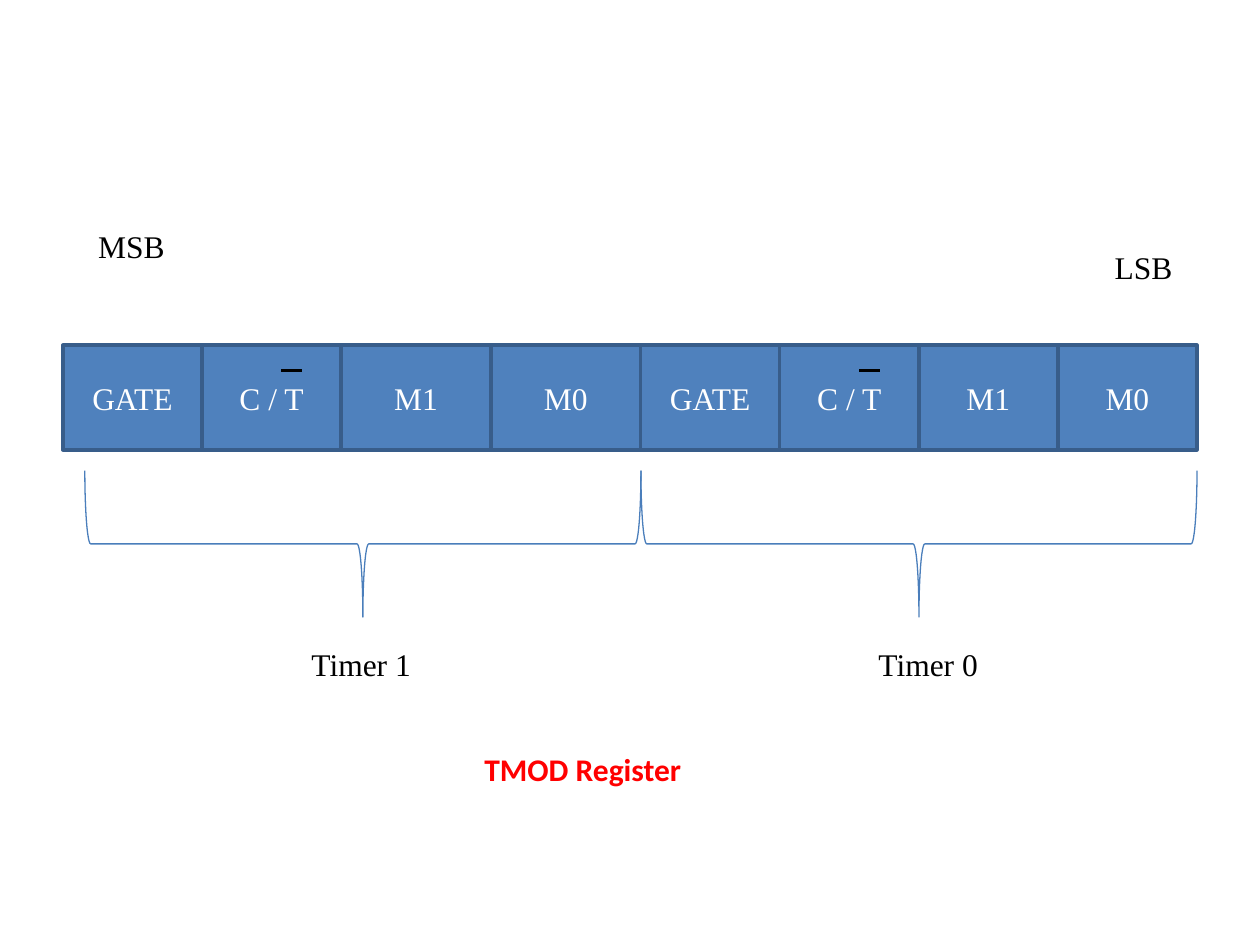
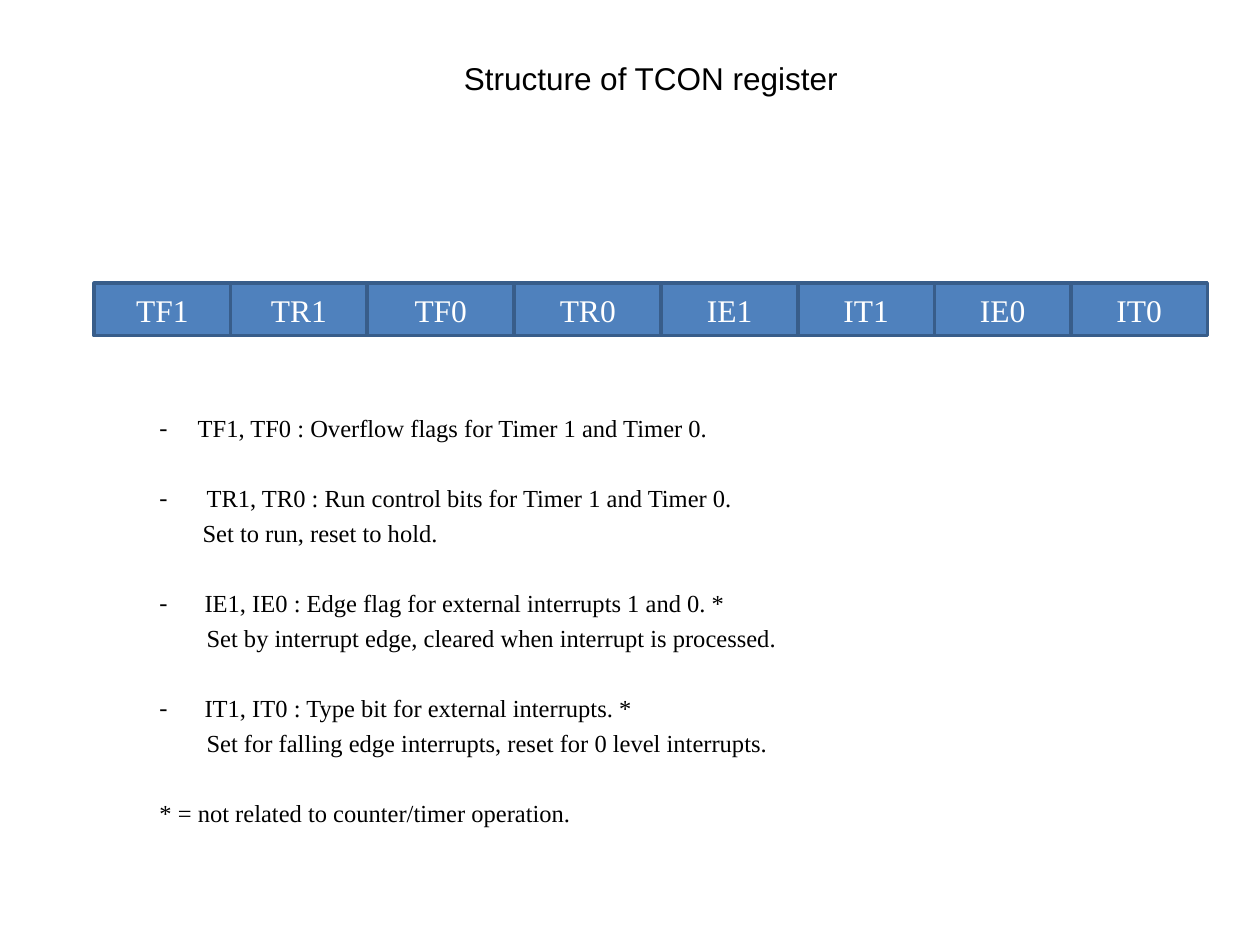
from lxml import etree
from pptx import Presentation
from pptx.dml.color import RGBColor
from pptx.enum.shapes import MSO_CONNECTOR, MSO_SHAPE
from pptx.enum.text import MSO_ANCHOR, MSO_AUTO_SIZE, PP_ALIGN
from pptx.oxml.ns import qn
from pptx.util import Cm, Pt

RECT, BRACE = MSO_SHAPE.RECTANGLE, MSO_SHAPE.RIGHT_BRACE
LINE = MSO_CONNECTOR.STRAIGHT
LEFT, CENTER = PP_ALIGN.LEFT, PP_ALIGN.CENTER
TOP, MIDDLE = MSO_ANCHOR.TOP, MSO_ANCHOR.MIDDLE
FIXED = MSO_AUTO_SIZE.NONE

COLORS = {"fill": "4F81BD", "edge": "385D8A", "brace": "4A7EBB",
          "ink": "000000", "light": "FFFFFF", "accent": "FF0000"}
SERIF = "Times New Roman"
WEIGHTS = [13, 13, 14, 14, 13, 13, 13, 13]  # relative bit widths
PITCH, GAP = 19.6, 4.6  # note line pitch and space after, in points

# Each note: text indent, text, then the indent and text of its second line
NOTES = [
    (0.77, "TF1, TF0 : Overflow flags for Timer 1 and Timer 0.", 0, ""),
    (0.95, "TR1, TR0 : Run control bits for Timer 1 and Timer 0.",
     0.87, "Set to run, reset to hold."),
    (0.91, "IE1, IE0 : Edge flag for external interrupts 1 and 0. *",
     0.95, "Set by interrupt edge, cleared when interrupt is processed."),
    (0.91, "IT1, IT0 : Type bit for external interrupts. *",
     0.95, "Set for falling edge interrupts, reset for 0 level interrupts."),
]
FOOT = "* = not related to counter/timer operation."


def rgb(name):
    return RGBColor.from_string(COLORS[name])


def place(shape, box):
    shape.left, shape.top, shape.width, shape.height = map(Cm, box)


def style(para, color="ink", size=18, face=SERIF, bold=False, align=LEFT):
    para.alignment = align
    for run in para.runs:
        font = run.font
        font.name, font.size, font.bold = face, Pt(size), bold
        font.color.rgb = rgb(color)


def write(shape, text, wrap=True, anchor=TOP, **look):
    frame = shape.text_frame
    frame.text = text
    frame.word_wrap, frame.vertical_anchor = wrap, anchor
    frame.auto_size = FIXED
    style(frame.paragraphs[0], **look)


def label(slide, text, box):
    write(slide.shapes.add_textbox(*map(Cm, box)), text, wrap=False)


def title(slide, text, box, **look):
    place(slide.shapes.title, box)
    write(slide.shapes.title, text, **look)


def register(slide, box, names):
    """Draw a row of bit cells; return the left edge of each in cm."""
    left, top, width, height = box
    unit = width / sum(WEIGHTS)
    edges = []
    for name, weight in zip(names, WEIGHTS):
        cell = slide.shapes.add_shape(
            RECT, Cm(left), Cm(top), Cm(unit * weight), Cm(height))
        cell.shadow.inherit = False
        cell.fill.solid()
        cell.fill.fore_color.rgb = rgb("fill")
        cell.line.color.rgb = rgb("edge")
        cell.line.width = Pt(2)
        write(cell, name, anchor=MIDDLE, color="light", align=CENTER)
        edges.append(left)
        left += unit * weight
    return edges


def overbar(slide, left, top):
    bar = slide.shapes.add_connector(
        LINE, Cm(left), Cm(top), Cm(left + 0.42), Cm(top))
    bar.line.color.rgb = rgb("ink")
    bar.line.width = Pt(2)
    etree.SubElement(bar._element.spPr, qn("a:effectLst"))


def brace(slide, box):
    """Fit a brace into the box with its tip pointing down."""
    left, top, width, height = box
    shift = (width - height) / 2
    mark = slide.shapes.add_shape(
        BRACE, Cm(left + shift), Cm(top - shift), Cm(height), Cm(width))
    mark.rotation = 90
    mark.adjustments[0] = 0.04
    mark.shadow.inherit = False
    mark.fill.background()
    mark.line.color.rgb = rgb("brace")
    mark.line.width = Pt(0.75)


def note(para, text, indent=0, dash=False, last=True):
    para.text = text
    props = para._p.get_or_add_pPr()
    props.set("marL", str(Cm(indent)))
    props.set("indent", str(-Cm(indent) if dash else 0))
    if dash:
        etree.SubElement(props, qn("a:buFont"), typeface=SERIF)
        etree.SubElement(props, qn("a:buChar"), char="-")
    else:
        etree.SubElement(props, qn("a:buNone"))
    para.line_spacing = 0.93
    para.space_before = Pt(0)
    para.space_after = Pt(GAP + PITCH if last else GAP)
    style(para, size=14)


def notes(slide, box):
    body = slide.placeholders[1]
    place(body, box)
    frame = body.text_frame
    frame.word_wrap, frame.vertical_anchor = True, TOP
    frame.auto_size = FIXED
    para = frame.paragraphs[0]
    for indent, text, inset, more in NOTES:
        note(para, text, indent, dash=True, last=not more)
        para = frame.add_paragraph()
        if more:
            note(para, more, inset)
            para = frame.add_paragraph()
    note(para, FOOT)


def tmod(deck):
    slide = deck.slides.add_slide(deck.slide_layouts[5])
    left, top, width, height = box = (1.27, 6.96, 22.86, 2.11)

    # Bit order
    label(slide, "MSB", (left + 0.46, 4.45, 1.85, 1.02))
    label(slide, "LSB", (22.22, 4.88, 1.68, 1.02))

    # Bits, with a bar over each T
    edges = register(slide, box, ["GATE", "C / T", "M1", "M0"] * 2)
    for edge in (edges[1], edges[5]):
        overbar(slide, edge + 1.6, top + 0.51)

    # Timer halves
    span = 11.21
    start = left + width - 2 * span
    for i, (text, x) in enumerate([("Timer 1", 6.03), ("Timer 0", 17.46)]):
        brace(slide, (start + i * span, top + height + 0.42, span, 2.95))
        label(slide, text, (x, 12.88, 2.54, 1.02))

    title(slide, "TMOD Register", (9.51, 14.99, 4.5, 1.02),
          wrap=False, color="accent", face="Calibri", bold=True)


def tcon(deck):
    slide = deck.slides.add_slide(deck.slide_layouts[1])
    title(slide, "Structure of TCON register", (4.23, 1.06, 17.78, 1.02),
          face="Arial", align=CENTER)
    register(slide, (1.9, 5.71, 22.44, 1.06),
             ["TF1", "TR1", "TF0", "TR0", "IE1", "IT1", "IE0", "IT0"])
    notes(slide, (2.96, 8.25, 20.11, 8.4))


def main():
    deck = Presentation()
    deck.slide_width, deck.slide_height = Cm(25.4), Cm(19.05)
    tmod(deck)
    tcon(deck)
    deck.save("out.pptx")


if __name__ == "__main__":
    main()
